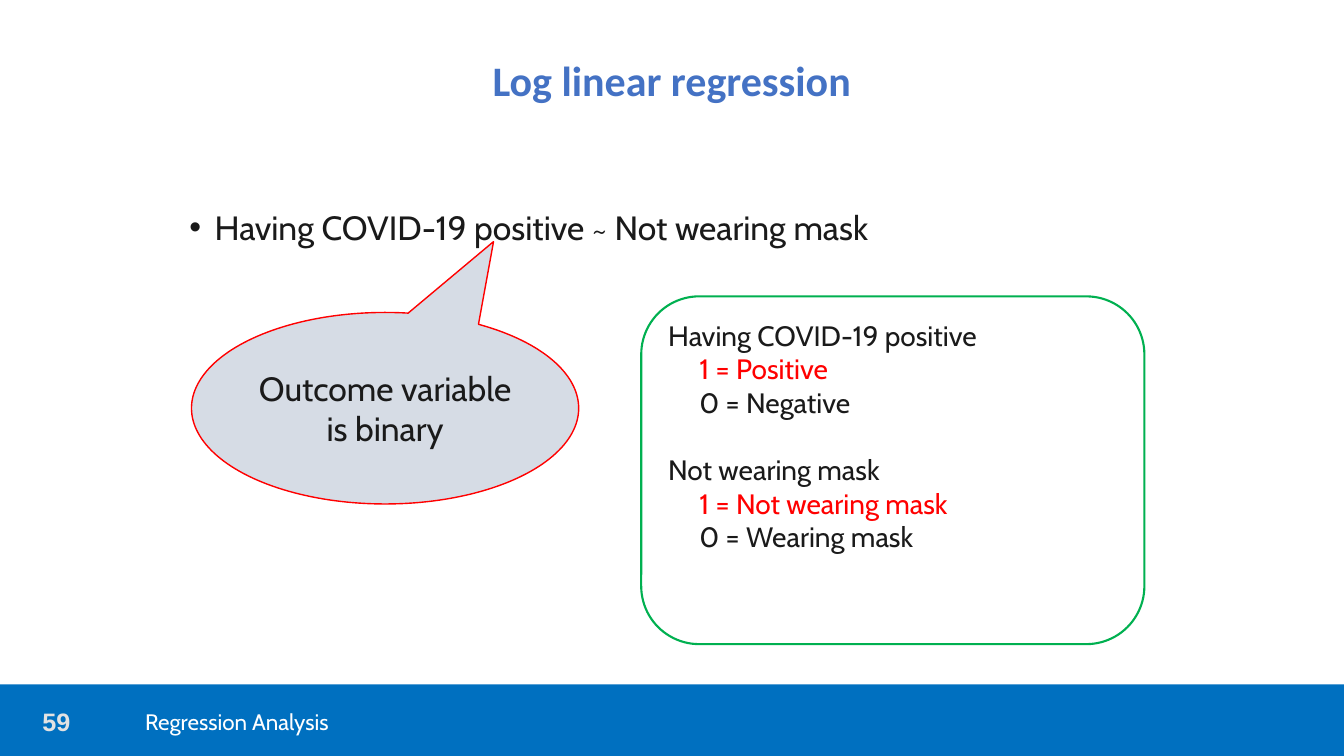
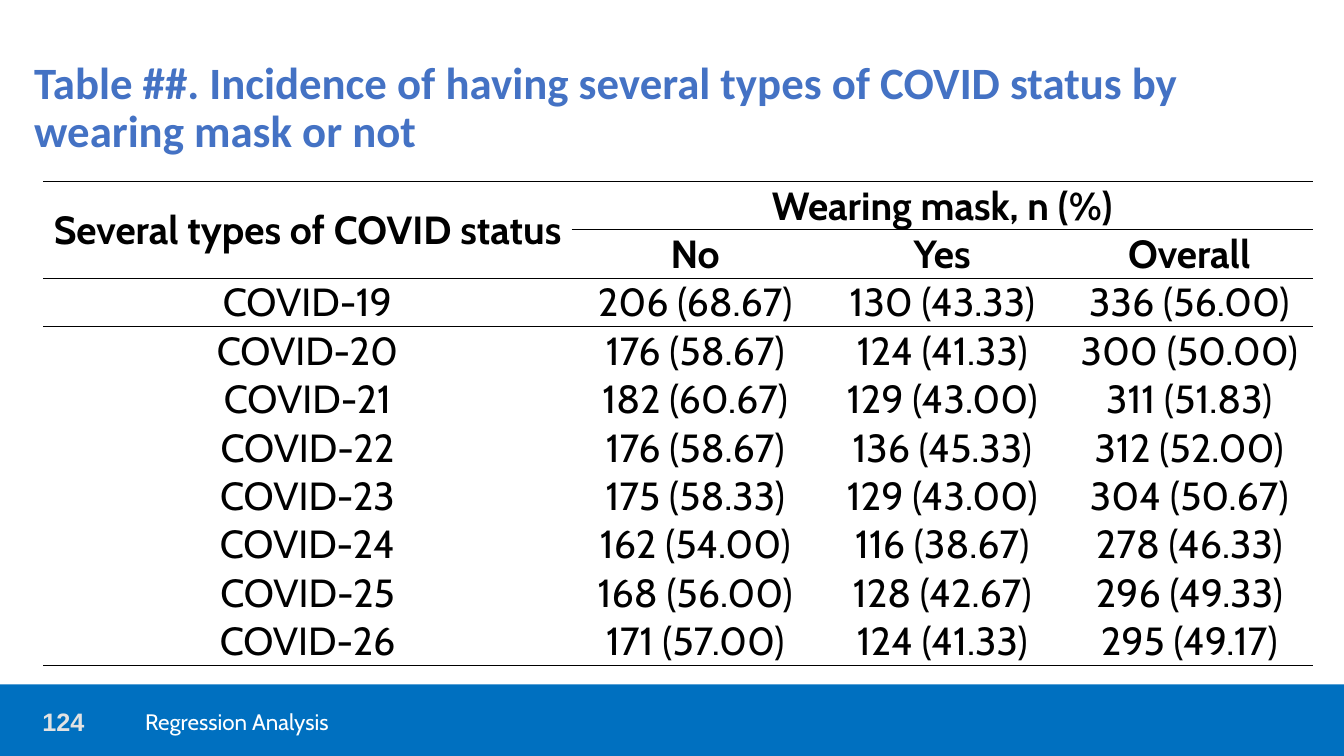
from dataclasses import dataclass

from lxml.etree import SubElement
from pptx import Presentation
from pptx.dml.color import RGBColor
from pptx.enum.shapes import MSO_SHAPE
from pptx.enum.text import MSO_ANCHOR, PP_ALIGN
from pptx.oxml.ns import qn
from pptx.util import Inches, Pt


# Theme
@dataclass(frozen=True)
class Theme:
    blue: str = "4472C4"
    band: str = "0070C0"
    number: str = "E2E2E2"
    white: str = "FFFFFF"
    ink: str = "1A1A1A"
    black: str = "000000"
    red: str = "FF0000"
    green: str = "00B050"
    callout: str = "D6DCE5"
    title_font: str = "Calibri"
    body_font: str = "Cabin"
    number_font: str = "Arial"
    table_size: int = 28
    body_size: int = 24
    coding_size: int = 20
    number_size: int = 18
    footer_size: int = 16


THEME = Theme()
NO_GRID_STYLE = "{2D5ABB26-0587-4C30-8999-92F81FD0307C}"
SLIDE_WIDTH, SLIDE_HEIGHT = 13.33, 7.5

# Content
FOOTER = "Regression Analysis"
MODEL_TITLE = "Log linear regression"
MODEL = "Having COVID-19 positive ~ Not wearing mask"
OUTCOME_NOTE = "Outcome variable is binary"
CODING = [
    ("Having COVID-19 positive", "1 = Positive", "0 = Negative"),
    ("Not wearing mask", "1 = Not wearing mask", "0 = Wearing mask"),
]
TABLE_TITLE = ("Table ##. Incidence of having several types of COVID status "
               "by wearing mask or not")
HEADER_ROWS = [
    ("Several types of COVID status", "Wearing mask, n (%)", "", ""),
    ("", "No", "Yes", "Overall"),
]
INCIDENCE = [
    ("COVID-19", "206 (68.67)", "130 (43.33)", "336 (56.00)"),
    ("COVID-20", "176 (58.67)", "124 (41.33)", "300 (50.00)"),
    ("COVID-21", "182 (60.67)", "129 (43.00)", "311 (51.83)"),
    ("COVID-22", "176 (58.67)", "136 (45.33)", "312 (52.00)"),
    ("COVID-23", "175 (58.33)", "129 (43.00)", "304 (50.67)"),
    ("COVID-24", "162 (54.00)", "116 (38.67)", "278 (46.33)"),
    ("COVID-25", "168 (56.00)", "128 (42.67)", "296 (49.33)"),
    ("COVID-26", "171 (57.00)", "124 (41.33)", "295 (49.17)"),
]
COLUMN_WIDTHS = [5.24, 2.45, 2.45, 2.45]
ROW_HEIGHT = 0.48


# Helpers
def rgb(color):
    return RGBColor.from_string(color)


def write(para, text, size, color=THEME.ink, font=THEME.body_font,
          bold=False, align=PP_ALIGN.LEFT):
    para.text = text
    para.alignment = align
    for span in para.runs:
        span.font.name = font
        span.font.size = Pt(size)
        span.font.bold = bold
        span.font.color.rgb = rgb(color)


def indent(para, left, first=0):
    properties = para._p.get_or_add_pPr()
    properties.set("marL", str(Inches(left)))
    properties.set("indent", str(Inches(first)))
    return properties


def add_text(slide, place, text, size, inset=True, **style):
    box = slide.shapes.add_textbox(*map(Inches, place))
    frame = box.text_frame
    frame.word_wrap = True
    if not inset:
        frame.margin_left = frame.margin_right = 0
        frame.margin_top = frame.margin_bottom = 0
        frame.vertical_anchor = MSO_ANCHOR.MIDDLE
    write(frame.paragraphs[0], text, size, **style)
    return frame.paragraphs[0]


def add_panel(slide, preset, place, fill=None, line=None, width=1):
    panel = slide.shapes.add_shape(preset, *map(Inches, place))
    panel.shadow.inherit = False
    if fill:
        panel.fill.solid()
        panel.fill.fore_color.rgb = rgb(fill)
    else:
        panel.fill.background()
    if line:
        panel.line.color.rgb = rgb(line)
        panel.line.width = Pt(width)
    else:
        panel.line.fill.background()
    panel.text_frame.word_wrap = True
    return panel


def add_slide(deck, number, title, left, size, align):
    slide = deck.slides.add_slide(deck.slide_layouts[6])
    add_panel(slide, MSO_SHAPE.RECTANGLE, (0, 6.79, SLIDE_WIDTH, 0.71),
              fill=THEME.band)
    add_text(slide, (0.42, 6.98, 1.02, 0.35), number, THEME.number_size,
             inset=False, color=THEME.number, font=THEME.number_font, bold=True)
    add_text(slide, (1.44, 6.98, 8.6, 0.35), FOOTER, THEME.footer_size,
             inset=False, color=THEME.white)
    heading = add_text(slide, (left, 0.55, SLIDE_WIDTH - 2 * left, 0.63),
                       title, size, color=THEME.blue, font=THEME.title_font,
                       bold=True, align=align)
    heading.line_spacing = 0.9
    return slide


def add_rule(cell, side):
    line = SubElement(cell._tc.get_or_add_tcPr(), qn(f"a:{side}"), w=str(Pt(1)))
    fill = SubElement(line, qn("a:solidFill"))
    SubElement(fill, qn("a:srgbClr"), val=THEME.black)


# Regression model slide
def build_model(deck):
    slide = add_slide(deck, "59", MODEL_TITLE, 1.05, 30, PP_ALIGN.CENTER)
    formula = add_text(slide, (1.78, 2, 9.8, 3.53), MODEL, THEME.body_size)
    bullet = indent(formula, 0.25, -0.25)
    SubElement(bullet, qn("a:buFont"), typeface=THEME.number_font)
    SubElement(bullet, qn("a:buChar"), char="•")

    callout = add_panel(slide, MSO_SHAPE.OVAL_CALLOUT, (1.9, 3.1, 3.84, 1.9),
                        THEME.callout, THEME.red)
    callout.adjustments[0] = 0.28
    callout.adjustments[1] = -0.87
    callout.text_frame.vertical_anchor = MSO_ANCHOR.MIDDLE
    write(callout.text_frame.paragraphs[0], OUTCOME_NOTE, THEME.body_size,
          align=PP_ALIGN.CENTER)

    coding = add_panel(slide, MSO_SHAPE.ROUNDED_RECTANGLE,
                       (6.36, 2.94, 4.99, 3.45), line=THEME.green, width=1.5)
    frame = coding.text_frame
    frame.vertical_anchor = MSO_ANCHOR.TOP
    for group, (variable, *levels) in enumerate(CODING):
        para = frame.add_paragraph() if group else frame.paragraphs[0]
        write(para, variable, THEME.coding_size)
        if group:
            para.space_before = Pt(24)
        for level, color in zip(levels, (THEME.red, THEME.ink)):
            para = frame.add_paragraph()
            indent(para, 0.31)
            write(para, level, THEME.coding_size, color)


# Incidence table slide
def build_incidence(deck):
    slide = add_slide(deck, "124", TABLE_TITLE, 0.24, 32, PP_ALIGN.LEFT)
    rows = HEADER_ROWS + INCIDENCE
    last = len(rows) - 1
    table = slide.shapes.add_table(
        len(rows), len(COLUMN_WIDTHS), Inches(0.43), Inches(1.8),
        Inches(sum(COLUMN_WIDTHS)), Inches(ROW_HEIGHT * len(rows))).table
    table.first_row = table.horz_banding = False
    table._tbl.tblPr.find(qn("a:tableStyleId")).text = NO_GRID_STYLE
    for column, width in zip(table.columns, COLUMN_WIDTHS):
        column.width = Inches(width)
    table.cell(0, 0).merge(table.cell(1, 0))
    table.cell(0, 1).merge(table.cell(0, 3))

    for r, values in enumerate(rows):
        table.rows[r].height = Inches(ROW_HEIGHT)
        for c, value in enumerate(values):
            cell = table.cell(r, c)
            cell.margin_left = cell.margin_right = Inches(0.01)
            cell.margin_top, cell.margin_bottom = Inches(0.01), 0
            stub = (r, c) == (0, 0)
            cell.vertical_anchor = MSO_ANCHOR.MIDDLE if stub else MSO_ANCHOR.BOTTOM
            if r in (0, 2) or (r == 1 and c > 0):
                add_rule(cell, "lnT")
            if r in (0, 1, last):
                add_rule(cell, "lnB")
            cell.fill.background()
            if value:
                write(cell.text_frame.paragraphs[0], value, THEME.table_size,
                      THEME.black, bold=r < len(HEADER_ROWS),
                      align=PP_ALIGN.CENTER)


def main():
    deck = Presentation()
    deck.slide_width = Inches(SLIDE_WIDTH)
    deck.slide_height = Inches(SLIDE_HEIGHT)
    build_model(deck)
    build_incidence(deck)
    deck.save("out.pptx")


if __name__ == "__main__":
    main()
